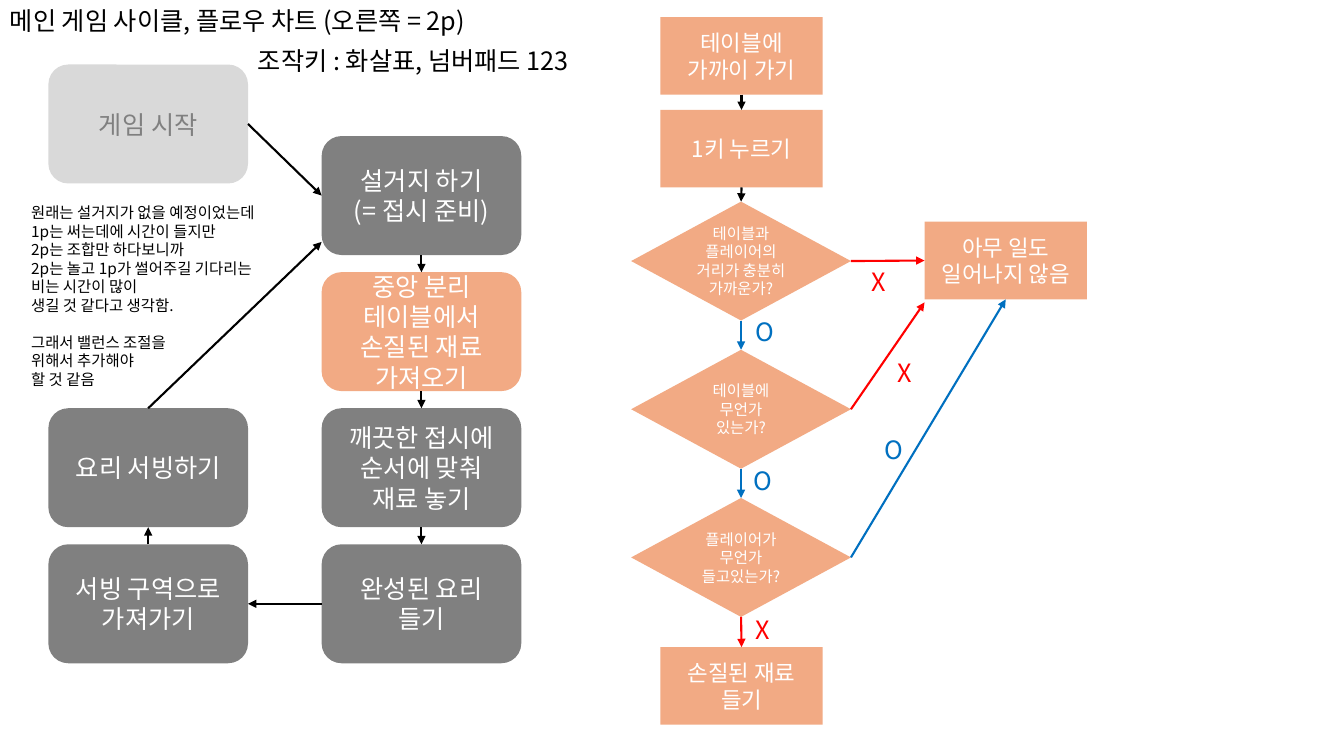
import pptx
import pptx.util
import pptx.dml.color
import pptx.enum.shapes
import pptx.enum.text
import pptx.oxml.ns
from lxml import etree
from pptx.util import Inches

FONT = "Noto Sans CJK KR"
COLORS = {
    "black": "000000", "white": "FFFFFF", "gray": "808080", "light": "D9D9D9",
    "orange": "F2AA84", "no": "FF0000", "yes": "0070C0",
}
SHAPES = pptx.enum.shapes.MSO_SHAPE
TOP, LEFT, BOTTOM, RIGHT = range(4)  # connection sites
BOX_WIDTH, BOX_HEIGHT = 1.98, 1.18
STEP_WIDTH, STEP_HEIGHT = 1.61, 0.77
DIAMOND_WIDTH, DIAMOND_HEIGHT = 2.18, 1.18


def color(name):
    return pptx.dml.color.RGBColor.from_string(COLORS[name])


def write(text_frame, text, size, color_name, align=pptx.enum.text.PP_ALIGN.LEFT):
    text_frame.text = text
    for paragraph in text_frame.paragraphs:
        paragraph.alignment = align
        for run in paragraph.runs:
            run.font.size = pptx.util.Pt(size)
            run.font.name = FONT
            run.font.color.rgb = color(color_name)
            east_asian = etree.SubElement(run.font._element, pptx.oxml.ns.qn("a:ea"))
            east_asian.set("typeface", FONT)


def add_text(slide, box, text, size=18, color_name="black", wrap=False):
    text_frame = slide.shapes.add_textbox(*map(Inches, box)).text_frame
    text_frame.word_wrap = wrap
    write(text_frame, text, size, color_name)
    return text_frame


def add_node(slide, kind, box, text, size, fill="orange", color_name="white"):
    shape = slide.shapes.add_shape(kind, *map(Inches, box))
    shape.shadow.inherit = False
    shape.fill.solid()
    shape.fill.fore_color.rgb = color(fill)
    shape.line.fill.background()
    shape.text_frame.word_wrap = True
    shape.text_frame.vertical_anchor = pptx.enum.text.MSO_ANCHOR.MIDDLE
    write(shape.text_frame, text, size, color_name, pptx.enum.text.PP_ALIGN.CENTER)
    return shape


def add_arrow(slide, source, site, target, target_site=None, color_name="black"):
    """Target is a shape with a connection site, or a point in inches."""
    end = (0, 0) if target_site is not None else map(Inches, target)
    arrow = slide.shapes.add_connector(
        pptx.enum.shapes.MSO_CONNECTOR.STRAIGHT, 0, 0, *end)
    arrow.begin_connect(source, site)
    if target_site is not None:
        arrow.end_connect(target, target_site)
    arrow.line.color.rgb = color(color_name)
    arrow.line.width = pptx.util.Pt(1.5)
    line = arrow.line._get_or_add_ln()
    etree.SubElement(line, pptx.oxml.ns.qn("a:tailEnd")).set("type", "triangle")
    etree.SubElement(arrow._element.spPr, pptx.oxml.ns.qn("a:effectLst"))


def add_headings(slide, left, top):
    add_text(slide, (left, top, 5.77, 0.4), "메인 게임 사이클, 플로우 차트 (오른쪽 = 2p)")
    add_text(slide, (left + 2.46, top + 0.4, 3.61, 0.4), "조작키 : 화살표, 넘버패드 123")


def add_note(slide, left, top):
    lines = [
        "원래는 설거지가 없을 예정이었는데", "1p는 써는데에 시간이 들지만",
        "2p는 조합만 하다보니까", "2p는 놀고 1p가 썰어주길 기다리는",
        "비는 시간이 많이", "생길 것 같다고 생각함.",
        "그래서 밸런스 조절을", "위해서 추가해야", "할 것 같음",
    ]
    text_frame = add_text(slide, (left, top, 3.98, 1.95), "\n".join(lines), 11, wrap=True)
    text_frame.paragraphs[6].space_before = pptx.util.Pt(13)


def add_game_cycle(slide, left, top):
    def node(column, row, text, fill="gray", color_name="white"):
        # The start box sits above the grid as row None
        offset = 0 if row is None else 0.71 + 1.35 * row
        box = (left + 2.71 * column, top + offset, BOX_WIDTH, BOX_HEIGHT)
        return add_node(slide, SHAPES.ROUNDED_RECTANGLE, box, text, 18, fill, color_name)

    start = node(0, None, "게임 시작", "light", "gray")
    dishes = node(1, 0, "설거지 하기\n(= 접시 준비)")
    fetch = node(1, 1, "중앙 분리\n테이블에서\n손질된 재료\n가져오기", "orange")
    plate = node(1, 2, "깨끗한 접시에\n순서에 맞춰 재료 놓기")
    lift = node(1, 3, "완성된 요리\n들기")
    carry = node(0, 3, "서빙 구역으로\n가져가기")
    serve = node(0, 2, "요리 서빙하기")

    add_arrow(slide, start, RIGHT, dishes, LEFT)
    for source, target in ((dishes, fetch), (fetch, plate), (plate, lift)):
        add_arrow(slide, source, BOTTOM, target, TOP)
    add_arrow(slide, lift, LEFT, carry, RIGHT)
    add_arrow(slide, carry, TOP, serve, BOTTOM)
    add_arrow(slide, serve, TOP, (left + 2.71, top + 1.76))


def add_pickup_flow(slide, left, top):
    def step(x, y, text):
        box = (left + x, top + y, STEP_WIDTH, STEP_HEIGHT)
        return add_node(slide, SHAPES.RECTANGLE, box, text, 16)

    # Actions and questions
    approach = step(0.29, 0, "테이블에\n가까이 가기")
    press = step(0.29, 0.92, "1키 누르기")
    questions = ["테이블과\n플레이어의\n거리가 충분히 가까운가?",
                 "테이블에\n무언가\n있는가?",
                 "플레이어가\n무언가 들고있는가?"]
    near, filled, holding = [
        add_node(slide, SHAPES.DIAMOND,
                 (left, top + 1.83 + 1.47 * row, DIAMOND_WIDTH, DIAMOND_HEIGHT), text, 11)
        for row, text in enumerate(questions)]
    nothing = step(2.91, 2.03, "아무 일도\n일어나지 않음")
    pick_up = step(0.29, 6.25, "손질된 재료\n들기")

    # Main path downwards
    path_down = [approach, press, near, filled, holding, pick_up]
    path_colors = ["black", "black", "yes", "yes", "no"]
    for source, target, color_name in zip(path_down, path_down[1:], path_colors):
        add_arrow(slide, source, BOTTOM, target, TOP, color_name)

    # Exits to the right
    add_arrow(slide, near, RIGHT, nothing, LEFT, "no")
    add_arrow(slide, filled, RIGHT, (left + 2.91, top + 2.83), color_name="no")
    add_arrow(slide, holding, RIGHT, nothing, BOTTOM, "yes")

    # Answers
    answers = [("X", 2.29, 2.42), ("O", 1.13, 2.92), ("X", 2.54, 3.33),
               ("O", 1.12, 4.4), ("O", 2.41, 4.09), ("X", 1.14, 5.88)]
    for text, x, y in answers:
        add_text(slide, (left + x, top + y, 0.5, 0.4), text,
                 color_name="yes" if text == "O" else "no", wrap=True)


def main():
    presentation = pptx.Presentation()
    presentation.slide_width = Inches(13.33)
    presentation.slide_height = Inches(7.5)
    slide = presentation.slides.add_slide(presentation.slide_layouts[6])
    add_headings(slide, 0, 0)
    add_game_cycle(slide, 0.48, 0.64)
    add_note(slide, 0.21, 1.97)
    add_pickup_flow(slide, 6.26, 0.17)
    presentation.save("out.pptx")


if __name__ == "__main__":
    main()
